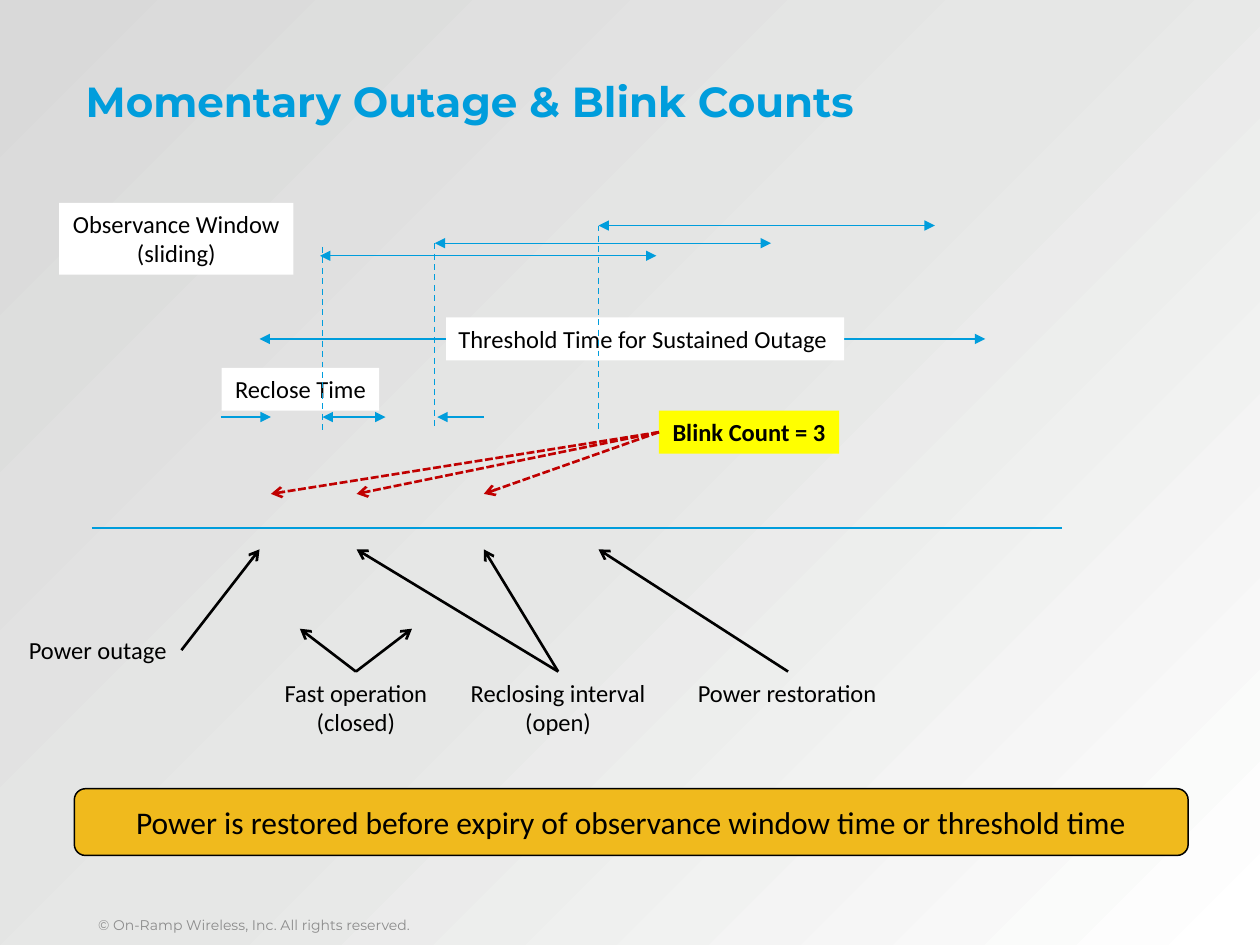
import pptx
import pptx.dml.color
import pptx.enum.dml
import pptx.enum.shapes
import pptx.enum.text
import pptx.oxml.ns
import pptx.util
import copy
import lxml.etree

RGBColor = pptx.dml.color.RGBColor
BLUE = RGBColor(0x00, 0x9D, 0xDC)
BLACK = RGBColor(0x00, 0x00, 0x00)
WHITE = RGBColor(0xFF, 0xFF, 0xFF)
YELLOW = RGBColor(0xFF, 0xFF, 0x00)
GOLD = RGBColor(0xF0, 0xBA, 0x1D)
RED = RGBColor(0xC0, 0x00, 0x00)
GREY = RGBColor(0x8C, 0x8C, 0x8C)
BACKGROUND = [(0, RGBColor(0xD9, 0xD9, 0xD9)), (50, RGBColor(0xE6, 0xE7, 0xE6)),
              (100, WHITE)]

SHAPE = pptx.enum.shapes.MSO_SHAPE
ALIGN = pptx.enum.text.PP_ALIGN
ANCHOR = pptx.enum.text.MSO_ANCHOR
DASH = pptx.enum.dml.MSO_LINE.DASH
SHORT_DASH = pptx.enum.dml.MSO_LINE.SQUARE_DOT
TOP, LEFT, RIGHT = 0, 1, 3

deck = pptx.Presentation()
deck.slide_width = pptx.util.Inches(10)
deck.slide_height = pptx.util.Inches(7.5)
page = deck.slides.add_slide(deck.slide_layouts[5])

# Grid: 100 columns by 75 rows
COLUMN = deck.slide_width / 100
ROW = deck.slide_height / 75


def write(text, area, box=None, shape=None, size=14, font="Calibri", color=BLACK,
          bold=False, align=ALIGN.CENTER, anchor=ANCHOR.TOP, wrap=False,
          fill=None, outline=None):
    """Put text in a given box, a new preset shape or a new text box."""
    left, top, width, height = area
    place = [round(left * COLUMN), round(top * ROW),
             round(width * COLUMN), round(height * ROW)]
    if box is not None:
        box.left, box.top, box.width, box.height = place
    elif shape is not None:
        box = page.shapes.add_shape(shape, *place)
        box.shadow.inherit = False
        box.fill.solid()
        box.fill.fore_color.rgb = fill
        if outline is None:
            box.line.fill.background()
        else:
            box.line.color.rgb = outline
            box.line.width = pptx.util.Pt(0.85)
    else:
        box = page.shapes.add_textbox(*place)
    frame = box.text_frame
    frame.text = text
    frame.word_wrap = wrap
    frame.vertical_anchor = anchor
    frame.auto_size = (pptx.enum.text.MSO_AUTO_SIZE.NONE if wrap
                       else pptx.enum.text.MSO_AUTO_SIZE.SHAPE_TO_FIT_TEXT)
    for para in frame.paragraphs:
        para.alignment = align
        para.font.size = pptx.util.Pt(size)
        para.font.name = font
        para.font.bold = bold
        para.font.color.rgb = color
    return box


def draw_line(start, end, color=BLUE, width=0.75, dash=None, head=None, tail=None):
    """Draw a straight connector between two grid points."""
    line = page.shapes.add_connector(
        pptx.enum.shapes.MSO_CONNECTOR.STRAIGHT,
        round(start[0] * COLUMN), round(start[1] * ROW),
        round(end[0] * COLUMN), round(end[1] * ROW))
    line.line.color.rgb = color
    line.line.width = pptx.util.Pt(width)
    if dash is not None:
        line.line.dash_style = dash
    stroke = line.line._get_or_add_ln()
    for tag, arrow in (("a:headEnd", head), ("a:tailEnd", tail)):
        if arrow:
            lxml.etree.SubElement(stroke, pptx.oxml.ns.qn(tag), type=arrow)
    lxml.etree.SubElement(line.element.spPr, pptx.oxml.ns.qn("a:effectLst"))
    return line


# Background gradient, dark top left to white bottom right
backdrop = page.background.fill
backdrop.gradient()
backdrop.gradient_angle = 315
stop_list = page.element.find(".//" + pptx.oxml.ns.qn("a:gsLst"))
stop_list.insert(1, copy.deepcopy(stop_list[0]))
for stop, (position, color) in zip(backdrop.gradient_stops, BACKGROUND):
    stop.color.rgb = color
    stop.position = position / 100

# Title and copyright line
title = write("Momentary Outage & Blink Counts", (6.8, 5, 87, 4.9),
              box=page.shapes.title, size=24, font="Montserrat", color=BLUE,
              bold=True, align=ALIGN.LEFT, wrap=True)
title.text_frame.margin_left = 0
for side in ("top", "right", "bottom"):
    setattr(title.text_frame, "margin_" + side, pptx.util.Inches(0.1))
write("© On-Ramp Wireless, Inc. All rights reserved.", (6.8, 71.9, 33.2, 2.7),
      size=8, font="Montserrat", color=GREY, align=ALIGN.LEFT,
      anchor=ANCHOR.BOTTOM, wrap=True)

# Time axis and threshold span
draw_line((7.3, 41.9), (84.3, 41.9), width=1.5)
draw_line((20.6, 26.9), (78.2, 26.9), head="triangle", tail="triangle")

# Boxes naming the spans
write("Observance Window\n(sliding)", (4.7, 16.1, 18.6, 5.7),
      shape=SHAPE.RECTANGLE, fill=WHITE)
write("Threshold Time for Sustained Outage", (35.4, 25.2, 31.6, 3.4),
      shape=SHAPE.RECTANGLE, fill=WHITE, align=ALIGN.LEFT)
write("Reclose Time", (17.6, 29.2, 12.5, 3.4), shape=SHAPE.RECTANGLE, fill=WHITE)

# Sliding observance windows, all of one length
for left, row in ((25.4, 20.3), (34.5, 19.3), (47.5, 17.9)):
    draw_line((left, row), (left + 26.7, row), head="triangle", tail="triangle")

# Dashed marks where the windows start
for column, top, bottom in ((25.6, 19.6, 34.3), (34.5, 19.3, 34), (47.5, 17.9, 34.3)):
    draw_line((column, top), (column, bottom), width=0.85, dash=DASH)

# Reclose times: pairs of arrows pointing inwards
for left, right, head, tail in ((17.5, 21.5, None, "triangle"),
                                (25.6, 29.4, "triangle", None),
                                (26.5, 30.6, None, "triangle"),
                                (34.7, 38.4, "triangle", None)):
    draw_line((left, 33.1), (right, 33.1), head=head, tail=tail)

# Events and blink count, each with arrows from one side of its box
outage = write("Power outage", (1.3, 49.9, 13.1, 3.4), align=ALIGN.LEFT)
fast = write("Fast operation\n(closed)", (21.5, 53.3, 13.5, 5.7))
reclosing = write("Reclosing interval\n(open)", (36.3, 53.3, 16, 5.7))
restoration = write("Power restoration", (54.4, 53.3, 16.3, 3.4), align=ALIGN.LEFT)
blinks = write("Blink Count = 3", (52.3, 32.6, 14.3, 3.4),
               shape=SHAPE.RECTANGLE, fill=YELLOW, bold=True)

for box, side, color, dash, row, columns in (
        (outage, RIGHT, BLACK, None, 43.6, (20.6,)),
        (fast, TOP, BLACK, None, 49.9, (23.8, 32.7)),
        (reclosing, TOP, BLACK, None, 43.6, (28.3, 38.4)),
        (restoration, TOP, BLACK, None, 43.6, (47.5,)),
        (blinks, LEFT, RED, SHORT_DASH, 39.2, (21.5, 28.3, 38.4))):
    for column in columns:
        arrow = draw_line((column, row), (column, row), color=color, width=1.5,
                          dash=dash, tail="arrow")
        arrow.begin_connect(box, side)

# Conclusion bar
write("Power is restored before expiry of observance window time or threshold time",
      (5.9, 62.6, 88.4, 5.3), shape=SHAPE.ROUNDED_RECTANGLE, size=18,
      anchor=ANCHOR.MIDDLE, wrap=True, fill=GOLD, outline=BLACK)

deck.save("out.pptx")
